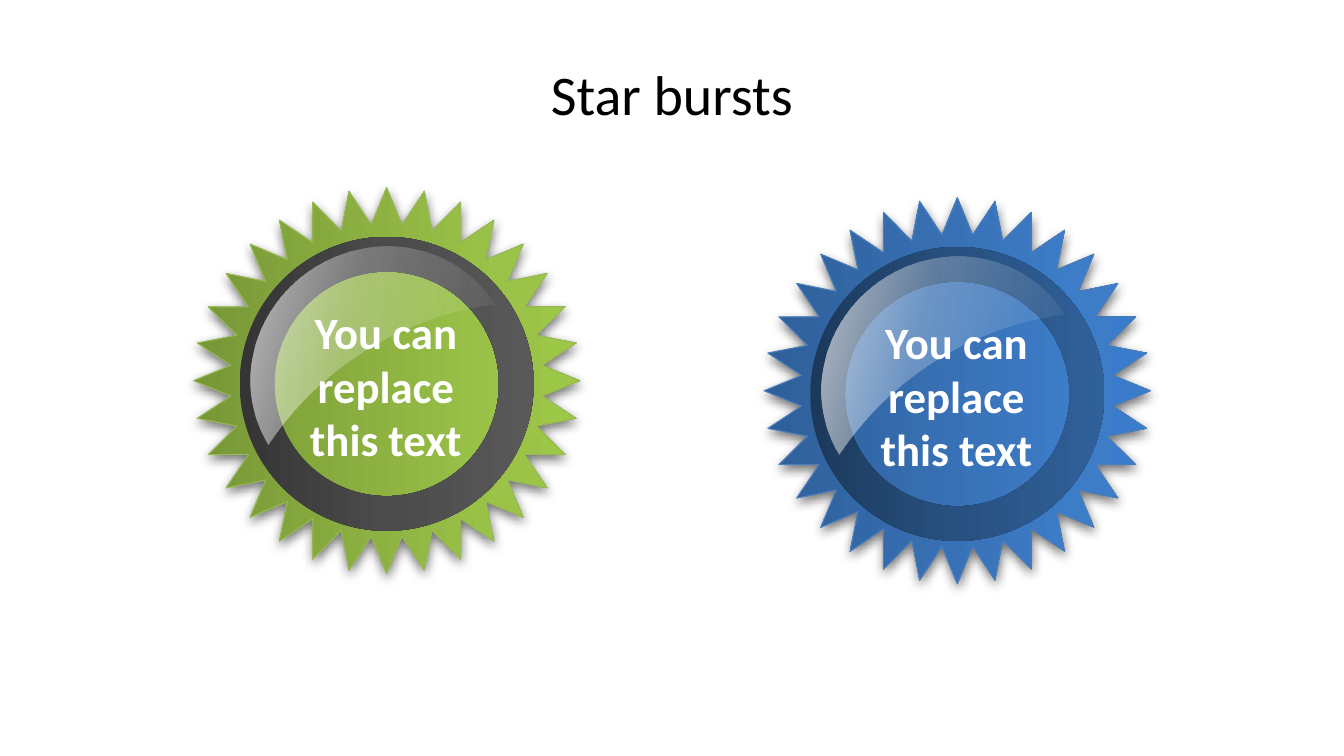
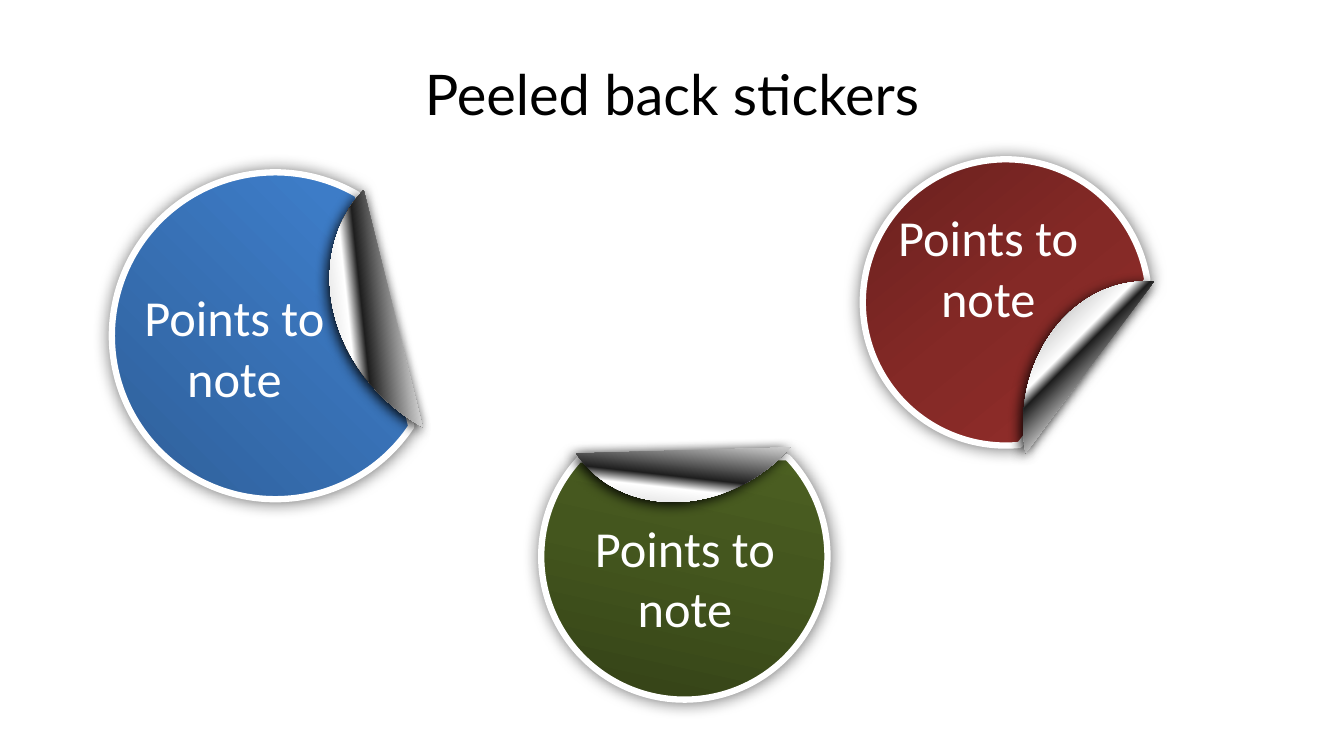
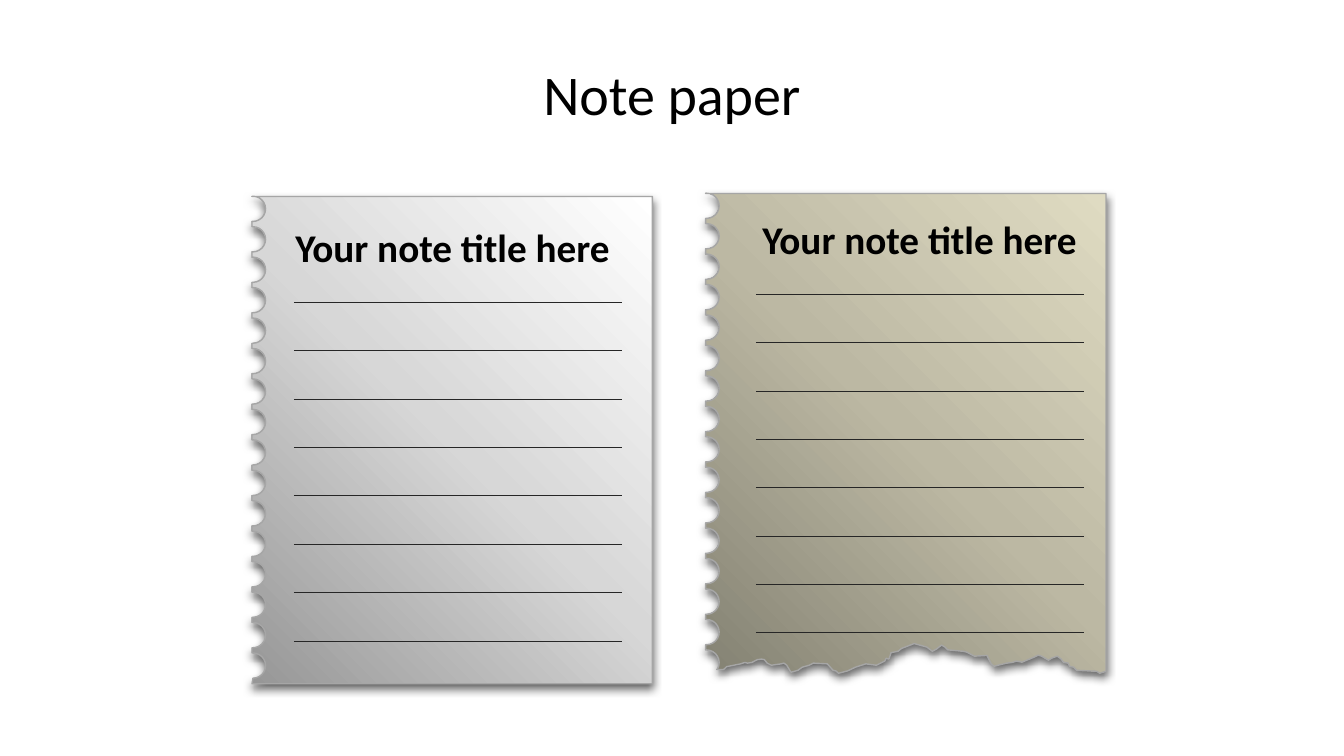
from math import cos, radians, sin

from lxml import etree
from pptx import Presentation
from pptx.dml.color import RGBColor
from pptx.enum.shapes import MSO_CONNECTOR, MSO_SHAPE
from pptx.enum.text import MSO_ANCHOR, PP_ALIGN
from pptx.oxml.ns import qn
from pptx.util import Pt

STAR, DONUT = MSO_SHAPE.STAR_32_POINT, MSO_SHAPE.DONUT
MOON, CHORD = MSO_SHAPE.MOON, MSO_SHAPE.CHORD
STRAIGHT = MSO_CONNECTOR.STRAIGHT
TOP, MIDDLE = MSO_ANCHOR.TOP, MSO_ANCHOR.MIDDLE
LEFT, CENTER = PP_ALIGN.LEFT, PP_ALIGN.CENTER


class Theme:
    font, alt_font = "Calibri", "Lato"
    title_size, sticker_size, seal_size, note_size = 40, 36, 32, 28
    black, white = "000000", "FFFFFF"
    rule, paper_edge = "262626", "A6A6A6"
    green_edge, blue_edge = "98B955", "4B7EBC"
    green = [(0, "779737"), (80, "9BC348"), (100, "9DC746")]
    blue = [(0, "2F5F99"), (80, "3D7CC7"), (100, "3A7CCB")]
    grey_ring = [(0, "353535"), (50, "4B4B4B"), (100, "595959")]
    blue_ring = [(0, "1C395B"), (50, "285181"), (100, "306099")]
    red = [(0, "5D1D1B"), (50, "842926"), (100, "9C302E")]
    olive = [(0, "303D15"), (50, "44561E"), (100, "516624")]
    gloss = [(0, "FFFFFF", 0), (50, "FFFFFF", 27), (100, "FFFFFF", 88)]
    foil = [(0, "FFFFFF"), (16, "1F1F1F"), (18, "FFFFFF"), (42, "636363"),
            (53, "CFCFCF"), (66, "CFCFCF"), (76, "1F1F1F"), (79, "FFFFFF"),
            (100, "7F7F7F")]
    silver = [(0, "979797"), (50, "D7D7D7"), (100, "FFFFFF")]
    parchment = [(0, "848273"), (50, "BCB8A3"), (100, "DFDBC2")]
    seal_shadow = (55, 8, 3, 90)
    sticker_shadow = (55, 12, 0, 0)
    peel_shadow = (93, 9, 3, 135)
    paper_shadow = (58, 6, 3, 90)


PAPER_W, PAPER_H = 286, 348
NOTCHES, NOTCH_STEP, NOTCH_TOP, NOTCH_R = 16, 21.75, 8.8, 9
RULES, RULE_STEP, RULE_W = 8, 34.56, 234

TORN_EDGE = [
    (286, 341.3), (281.5, 342.7), (279.4, 341.3), (265, 340.6), (263, 338.4),
    (260, 337.7), (259, 335.5), (255.6, 334.8), (254, 332.6), (251.3, 330.5),
    (247, 332), (245, 333.4), (240, 330.5), (237.6, 329.8), (234.7, 331.2),
    (226, 334.8), (222, 334), (219, 335), (215, 335.5), (213, 336),
    (206, 337.7), (204, 336), (201, 330), (192, 330.5), (186.5, 327.6),
    (184, 327), (173, 326), (171, 324), (168.5, 322.6), (165, 325.4),
    (162, 327), (158, 324), (149, 321.5), (140, 325), (137.5, 327),
    (132.5, 328), (131, 332.6), (129, 332), (128, 334), (126, 335),
    (122, 337), (114.5, 336), (107, 338.4), (101.5, 341), (95, 342.7),
    (93, 341), (91, 340.6), (87, 336), (77, 335.5), (74, 337),
    (69, 338.4), (66, 340.6), (61, 342), (58, 337), (56, 335.5),
    (54, 336), (47, 337), (44, 335.5), (42, 333), (40, 332.6),
    (37, 333), (33, 335), (30, 335.5), (28, 335), (25, 336),
    (15, 338), (13, 340), (8, 340)]
CLEAN_EDGE = [(PAPER_W, PAPER_H), (0, PAPER_H)]


def add_color(parent, color, alpha=None):
    clr = etree.SubElement(parent, qn("a:srgbClr"), val=color)
    if alpha is not None:
        etree.SubElement(clr, qn("a:alpha"), val=str(alpha * 1000))


class Deck:
    def __init__(self):
        self.prs = Presentation()
        self.prs.slide_width, self.prs.slide_height = Pt(960), Pt(540)

    def new_slide(self, title, font=Theme.font):
        self.slide = self.prs.slides.add_slide(self.prs.slide_layouts[6])
        self.text(title, 48, 21.6, 864, 90, Theme.title_size, Theme.black,
                  font=font, anchor=MIDDLE)

    def text(self, text, x, y, w, h, size, color, bold=False, align=CENTER,
             font=Theme.font, anchor=TOP):
        tf = self.slide.shapes.add_textbox(Pt(x), Pt(y), Pt(w), Pt(h)).text_frame
        tf.word_wrap = True
        tf.vertical_anchor = anchor
        p = tf.paragraphs[0]
        p.text, p.alignment = text, align
        p.font.name, p.font.size, p.font.bold = font, Pt(size), bold
        p.font.color.rgb = RGBColor.from_string(color)

    def style(self, sp, stops, angle, line=None, shadow=None):
        sp.fill.gradient()
        sp.fill.gradient_angle = (360 - angle) % 360
        props = sp.element.spPr
        stop_list = props.find(qn("a:gradFill")).find(qn("a:gsLst"))
        for old in list(stop_list):
            stop_list.remove(old)
        for pos, *color in stops:
            gs = etree.SubElement(stop_list, qn("a:gs"), pos=str(pos * 1000))
            add_color(gs, *color)
        if line:
            sp.line.color.rgb = RGBColor.from_string(line[0])
            sp.line.width = Pt(line[1])
        else:
            sp.line.fill.background()
        sp.shadow.inherit = False
        if shadow:
            alpha, blur, dist, direction = shadow
            outer = etree.SubElement(
                props.find(qn("a:effectLst")), qn("a:outerShdw"),
                blurRad=str(Pt(blur)), dist=str(Pt(dist)),
                dir=str(direction * 60000), algn="ctr")
            add_color(outer, Theme.black, alpha)

    def shape(self, kind, x, y, w, h, adjust, stops, angle=0, rotation=0,
              line=None, shadow=None):
        sp = self.slide.shapes.add_shape(kind, Pt(x), Pt(y), Pt(w), Pt(h))
        for i, value in enumerate(adjust):
            sp.adjustments[i] = value
        sp.rotation = rotation
        self.style(sp, stops, angle, line, shadow)

    def rule(self, x, y, w):
        line = self.slide.shapes.add_connector(STRAIGHT, Pt(x), Pt(y), Pt(x + w), Pt(y))
        line.line.color.rgb = RGBColor.from_string(Theme.rule)
        line.line.width = Pt(0.75)
        etree.SubElement(line.element.spPr, qn("a:effectLst"))

    def seal(self, x, y, face, edge, ring):
        self.shape(STAR, x, y, 276, 276, [0.405], face, line=(edge, 0.75),
                   shadow=Theme.seal_shadow)
        self.shape(DONUT, x + 33, y + 35.3, 210, 210, [0.118], ring)
        self.shape(MOON, x + 65.5, y + 0.7, 90, 189.4, [0.772], Theme.gloss,
                   angle=135, rotation=58.2)
        self.text("You can replace this text", x + 60.4, y + 80, 154, 123.8,
                  Theme.seal_size, Theme.white, bold=True)

    def sticker(self, x, y, size, rotation, stops, angle, text_box):
        self.shape(CHORD, x, y, size, size, [20.211, 180.143], stops, angle,
                   rotation, (Theme.white, 4.5), Theme.sticker_shadow)
        turn, out, up = radians(rotation), 0.64 * size, -0.11 * size
        peel_h = 0.86 * size
        peel_x = x + out * cos(turn) - up * sin(turn)
        peel_y = y + (size - peel_h) / 2 + out * sin(turn) + up * cos(turn)
        self.shape(CHORD, peel_x, peel_y, size, peel_h, [46.097, 109.937],
                   Theme.foil, 135, (rotation + 39) % 360,
                   shadow=Theme.peel_shadow)
        self.text("Points to note", *text_box, 94.3, Theme.sticker_size, Theme.white)

    def paper(self, x, y, stops, bottom_edge, first_angle):
        points = [(PAPER_W, 0)] + bottom_edge
        for i in reversed(range(NOTCHES)):
            center = NOTCH_TOP + i * NOTCH_STEP
            start = first_angle if i == NOTCHES - 1 else 90
            points += [(0.7 + NOTCH_R * cos(radians(a)), center + NOTCH_R * sin(radians(a)))
                       for a in range(start, -91, -15)]
            points.append((0, center - NOTCH_R))
            if i:
                points.append((0, center - NOTCH_STEP + NOTCH_R))
        fb = self.slide.shapes.build_freeform(Pt(x), Pt(y))
        fb.add_line_segments([(Pt(x + px), Pt(y + py)) for px, py in points])
        self.style(fb.convert_to_shape(), stops, 315, (Theme.paper_edge, 1),
                   Theme.paper_shadow)

    def note(self, x, y, title_box, align):
        for i in range(RULES):
            self.rule(x, y + i * RULE_STEP, RULE_W)
        self.text("Your note title here", *title_box, 41, Theme.note_size,
                  Theme.black, bold=True, align=align)


def main():
    deck = Deck()

    deck.new_slide("Star bursts")
    deck.seal(545.8, 141.1, Theme.blue, Theme.blue_edge, Theme.blue_ring)
    deck.seal(138.2, 133.9, Theme.green, Theme.green_edge, Theme.grey_ring)

    deck.new_slide("Peeled back stickers", Theme.alt_font)
    deck.sticker(79.9, 123.1, 233.5, 0, Theme.blue, 315, (88.6, 200.9, 157.7))
    deck.sticker(616.3, 113.8, 204.5, 50.8, Theme.red, 0, (619.9, 144, 172))
    deck.sticker(386.6, 295.2, 204.5, 282.4, Theme.olive, 0, (414, 365.8, 150.5))

    deck.new_slide("Note paper")
    deck.paper(180, 140.4, Theme.silver, CLEAN_EDGE, 90)
    deck.paper(504, 138.2, Theme.parchment, TORN_EDGE, 30)
    deck.note(540, 210.2, (527.8, 150.5, 257.8), CENTER)
    deck.note(210, 216, (203.8, 156.2, 246.2), LEFT)

    deck.prs.save("out.pptx")


if __name__ == "__main__":
    main()
